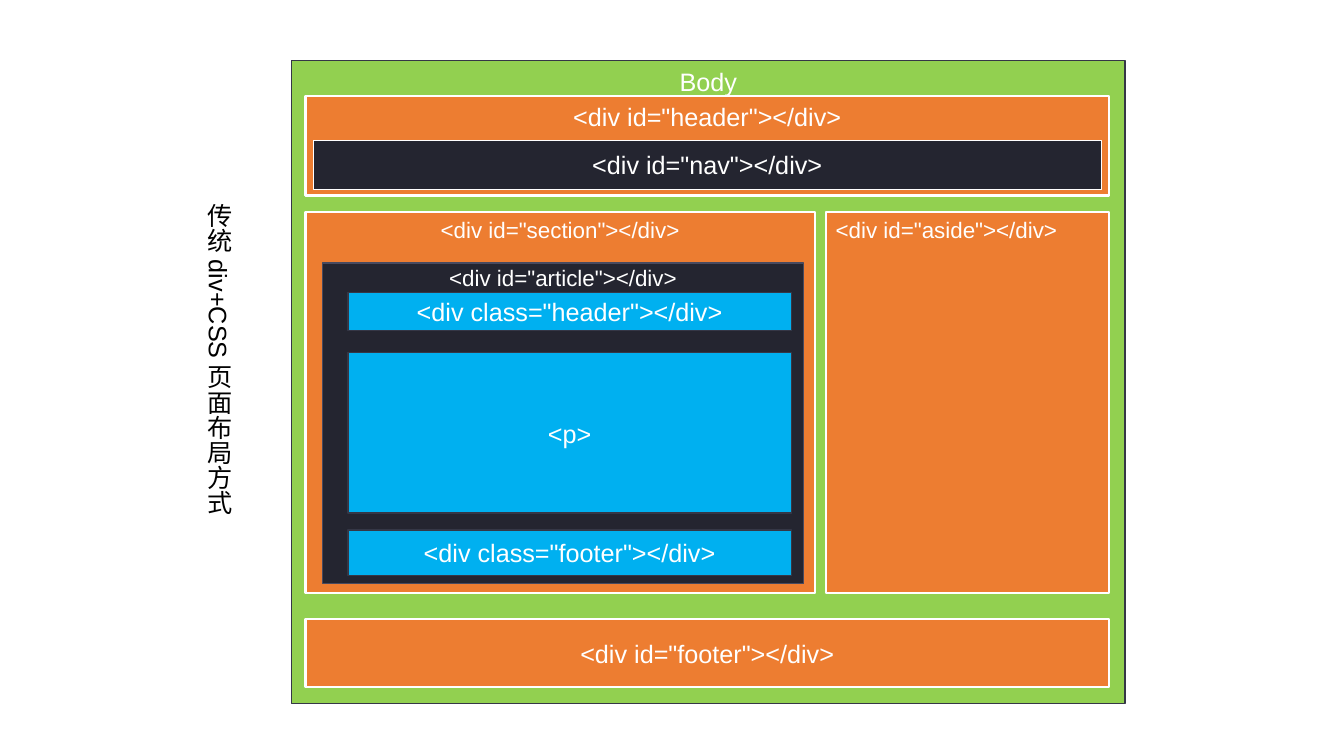
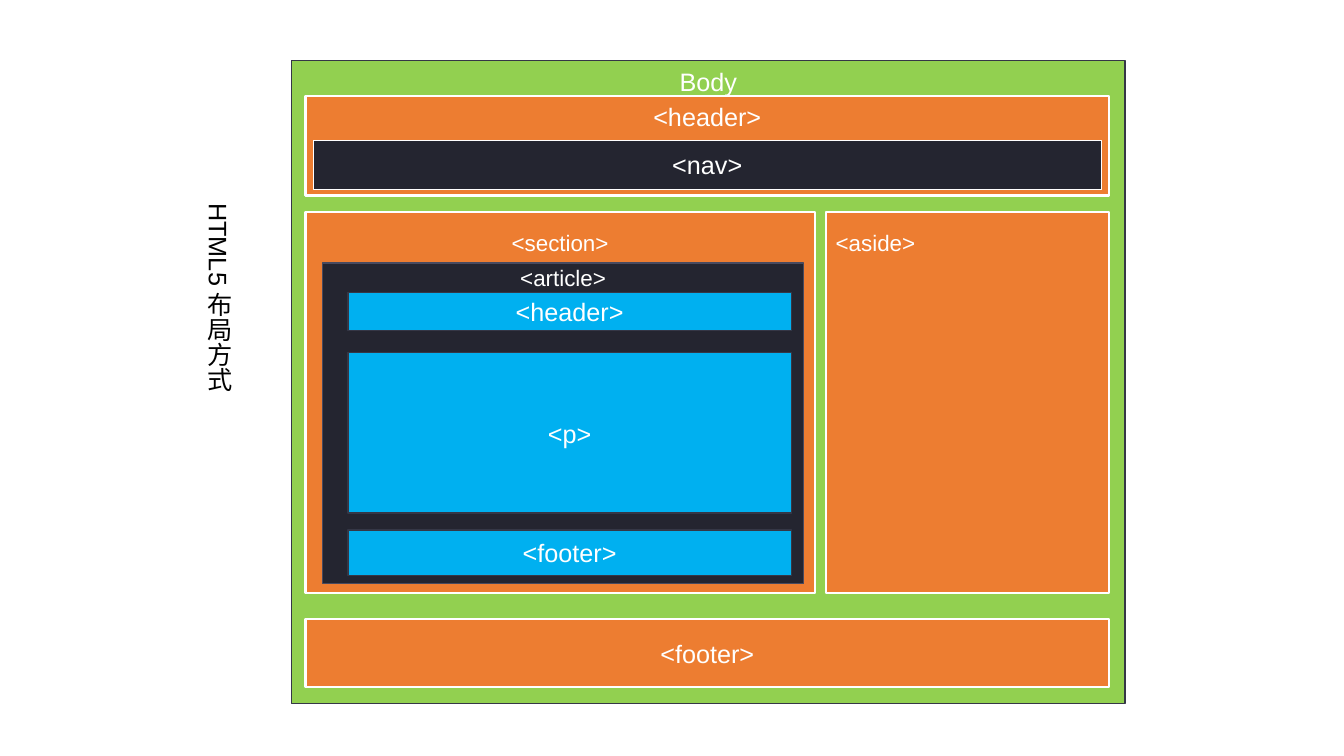
from dataclasses import dataclass

from pptx import Presentation
from pptx.dml.color import RGBColor as Rgb
from pptx.enum.shapes import MSO_SHAPE as Shape
from pptx.enum.text import MSO_ANCHOR as Anchor
from pptx.enum.text import MSO_AUTO_SIZE as Fit
from pptx.enum.text import PP_ALIGN as Align
from pptx.util import Inches, Pt


@dataclass(frozen=True)
class Theme:
    font: str = "Arial"
    big: int = 18
    small: int = 16
    white: str = "FFFFFF"
    black: str = "000000"
    green: str = "92D050"
    orange: str = "ED7D31"
    dark: str = "242530"
    blue: str = "00B0F0"
    edge: str = "353746"
    rim: str = "484A5F"


T = Theme()

# Label of each box; "drop" is the gap above the section and aside labels.
SLIDES = [
    {
        "title": "传统div+CSS页面布局方式", "length": 3.35, "drop": 0.04,
        "body": "Body",
        "header": '<div id="header"></div>',
        "nav": '<div id="nav"></div>',
        "section": '<div id="section"></div>',
        "footer": '<div id="footer"></div>',
        "aside": '<div id="aside"></div>',
        "article": '<div id="article"></div>',
        "top": '<div class="header"></div>',
        "text": "<p>",
        "end": '<div class="footer"></div>',
    },
    {
        "title": "HTML5布局方式", "length": 2.96, "drop": 0.17,
        "body": "Body",
        "header": "<header>",
        "nav": "<nav>",
        "section": "<section>",
        "footer": "<footer>",
        "aside": "<aside>",
        "article": "<article>",
        "top": "<header>",
        "text": "<p>",
        "end": "<footer>",
    },
]

# Style: fill, line colour, line width, type size
STYLES = {
    "page": (T.green, T.edge, 1, T.big),
    "band": (T.orange, T.white, 1.5, T.big),
    "column": (T.orange, T.white, 1.5, T.small),
    "nav": (T.dark, T.white, 0.25, T.big),
    "article": (T.dark, T.rim, 1, T.small),
    "part": (T.blue, T.edge, 1, T.big),
}

LEFT, WIDE, GAP = 3.03, 7.97, 0.11      # content column inside the body
MAIN = 5.05                             # width of the section
SIDE = LEFT + MAIN + GAP                # left edge of the aside
ROW, TALL = 2.1, 3.78                   # row of section and aside
PART, SPAN = 3.45, 4.4                  # parts inside the article

# Box: name, style, left, top, width, height, gap above the label
# (None centres the label, "drop" takes the gap from the slide)
BOXES = [
    ("body", "page", 2.89, 0.6, 8.27, 6.38, 0.06),
    ("header", "band", LEFT, 0.95, WIDE, 0.99, 0.06),
    ("nav", "nav", LEFT + 0.08, 1.39, WIDE - 0.16, 0.49, None),
    ("section", "column", LEFT, ROW, MAIN, TALL, "drop"),
    ("footer", "band", LEFT, 6.14, WIDE, 0.68, None),
    ("aside", "column", SIDE, ROW, LEFT + WIDE - SIDE, TALL, "drop"),
    ("article", "article", 3.2, 2.61, 4.77, 3.18, 0.01),
    ("top", "part", PART, 2.9, SPAN, 0.38, None),
    ("text", "part", PART, 3.5, SPAN, 1.59, None),
    ("end", "part", PART, 5.26, SPAN, 0.45, None),
]


def write(frame, text, size, color, align):
    frame.word_wrap = True
    par = frame.paragraphs[0]
    par.text = text
    par.alignment = align
    font = par.runs[0].font
    font.name, font.size = T.font, Pt(size)
    font.color.rgb = Rgb.from_string(color)


def add_box(slide, page, name, style, x, y, w, h, gap):
    fill, edge, width, size = STYLES[style]
    box = slide.shapes.add_shape(Shape.RECTANGLE, *map(Inches, (x, y, w, h)))
    box.shadow.inherit = False
    box.fill.solid()
    box.fill.fore_color.rgb = Rgb.from_string(fill)
    box.line.color.rgb = Rgb.from_string(edge)
    box.line.width = Pt(width)
    frame = box.text_frame
    write(frame, page[name], size, T.white,
          Align.LEFT if name == "aside" else Align.CENTER)
    frame.vertical_anchor = Anchor.MIDDLE
    if gap is not None:
        frame.vertical_anchor = Anchor.TOP
        frame.margin_top = Inches(page["drop"] if gap == "drop" else gap)


def add_title(slide, text, length):
    """Add the title that runs down the left side."""
    box = slide.shapes.add_textbox(*map(Inches, (1.87, 1.92, 0.5, length)))
    frame = box.text_frame
    write(frame, text, T.big, T.black, Align.LEFT)
    frame.auto_size = Fit.SHAPE_TO_FIT_TEXT
    frame._txBody.bodyPr.set("vert", "eaVert")


def main():
    deck = Presentation()
    deck.slide_width, deck.slide_height = Inches(13.33), Inches(7.5)
    for page in SLIDES:
        slide = deck.slides.add_slide(deck.slide_layouts[6])
        for box in BOXES:
            add_box(slide, page, *box)
        add_title(slide, page["title"], page["length"])
    deck.save("out.pptx")


if __name__ == "__main__":
    main()
